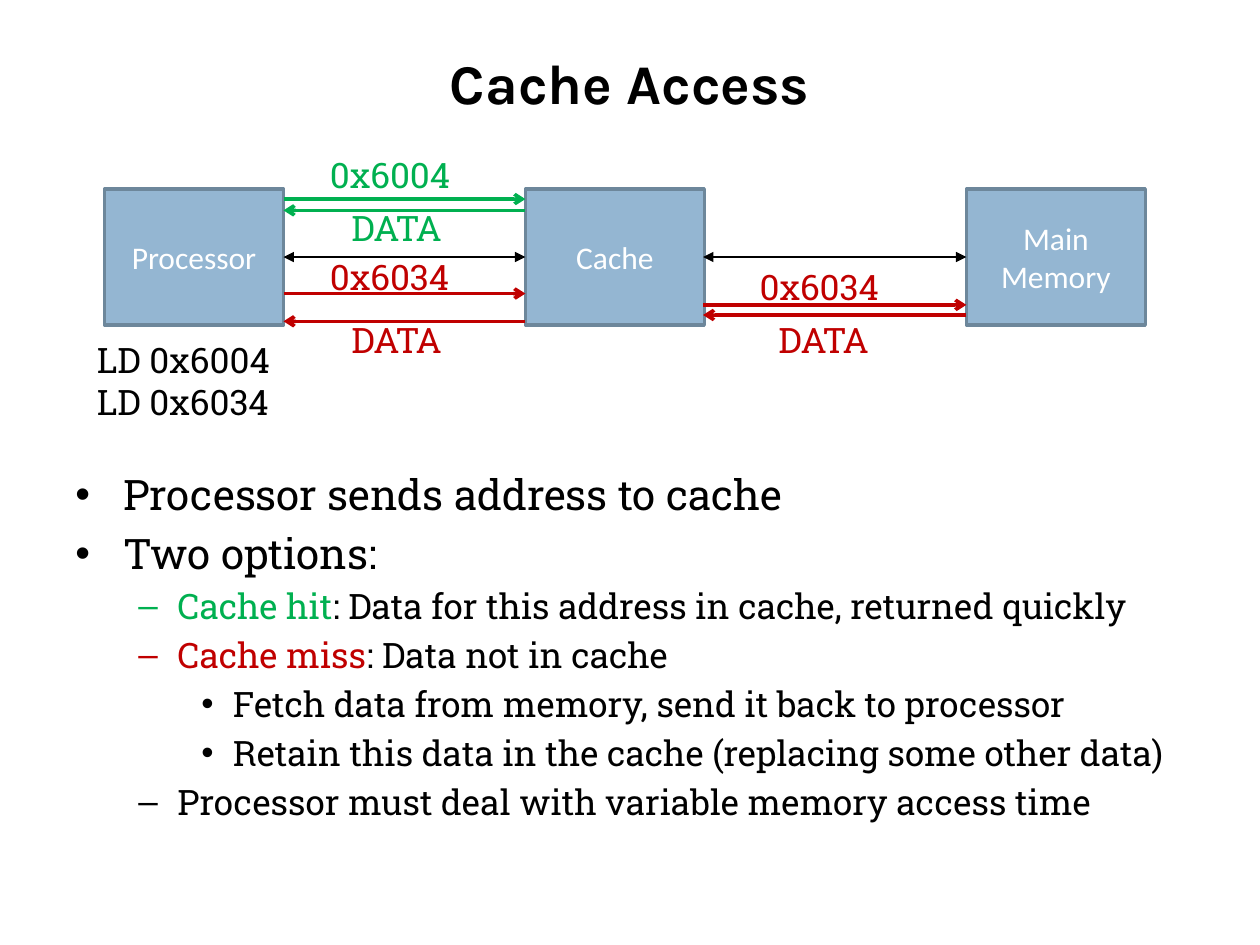
"""Build the Cache Access slide: a memory diagram above a bulleted outline."""
import lxml.etree
import pptx
import pptx.dml.color
import pptx.enum.shapes
import pptx.enum.text
import pptx.oxml.ns
import pptx.util

Inches = pptx.util.Inches
Pt = pptx.util.Pt
Color = pptx.dml.color.RGBColor.from_string
Align = pptx.enum.text.PP_ALIGN
Anchor = pptx.enum.text.MSO_ANCHOR
qn = pptx.oxml.ns.qn


class Theme:
    black, white = "000000", "FFFFFF"
    hit, miss = "00B050", "C00000"
    fill, edge = "94B6D2", "6D879B"
    head, body, block = "Karla", "Roboto Slab", "Calibri"
    title, main, label, small = 32, 24, 20, 18


def style(run, size, color, face=Theme.body, bold=False):
    run.font.size = Pt(size)
    run.font.name = face
    run.font.bold = bold
    run.font.color.rgb = Color(color)


def add_text(left, top, width, height, text, size, color, face=Theme.body, bold=False, wrap=False):
    box = slide.shapes.add_textbox(Inches(left), Inches(top), Inches(width), Inches(height))
    frame = box.text_frame
    frame.word_wrap = wrap
    frame.text = text
    for para in frame.paragraphs:
        for run in para.runs:
            style(run, size, color, face, bold)
    return frame


deck = pptx.Presentation()
deck.slide_width, deck.slide_height = Inches(10), Inches(7.5)
slide = deck.slides.add_slide(deck.slide_layouts[6])

title = add_text(0.5, 0.3, 9, 0.7, "Cache Access", Theme.title, Theme.black, Theme.head, True, True)
title.vertical_anchor = Anchor.MIDDLE
title.paragraphs[0].alignment = Align.CENTER

outline = [
    (0, "", "Processor sends address to cache", Theme.black),
    (0, "", "Two options:", Theme.black),
    (1, "Cache hit", ": Data for this address in cache, returned quickly", Theme.hit),
    (1, "Cache miss", ": Data not in cache", Theme.miss),
    (2, "", "Fetch data from memory, send it back to processor", Theme.black),
    (2, "", "Retain this data in the cache (replacing some other data)", Theme.black),
    (1, "", "Processor must deal with variable memory access time", Theme.black),
]
levels = [(0.38, 0.38, "•", Theme.main), (0.81, 0.31, "–", Theme.label), (1.25, 0.25, "•", Theme.label)]
frame = add_text(0.5, 3.67, 9.42, 3.5, "", Theme.main, Theme.black, wrap=True)
for row, (level, term, rest, color) in enumerate(outline):
    left, hang, mark, size = levels[level]
    para = frame.add_paragraph() if row else frame.paragraphs[0]
    para.level = level
    para.space_before = Pt(size * 0.2 if row else 0)
    props = para._p.get_or_add_pPr()
    props.set("marL", str(Inches(left)))
    props.set("indent", str(-Inches(hang)))
    lxml.etree.SubElement(props, qn("a:buFont")).set("typeface", "Arial")
    lxml.etree.SubElement(props, qn("a:buChar")).set("char", mark)
    for text, tint in ((term, color), (rest, Theme.black)):
        if text:
            run = para.add_run()
            run.text = text
            style(run, size, tint)

for left, name in ((0.83, "Processor"), (4.17, "Cache"), (7.67, "Main\vMemory")):
    block = slide.shapes.add_shape(
        pptx.enum.shapes.MSO_SHAPE.RECTANGLE, Inches(left), Inches(1.5), Inches(1.42), Inches(1.08))
    block.shadow.inherit = False
    block.fill.solid()
    block.fill.fore_color.rgb = Color(Theme.fill)
    block.line.color.rgb = Color(Theme.edge)
    block.line.width = Pt(2)
    frame = block.text_frame
    frame.margin_left = frame.margin_right = 0
    frame.vertical_anchor = Anchor.MIDDLE
    frame.text = name
    frame.paragraphs[0].alignment = Align.CENTER
    for run in frame.paragraphs[0].runs:
        style(run, Theme.small, Theme.white, Theme.block)

near, far = (2.25, 4.17), (5.58, 7.67)
both, ahead = ("headEnd", "tailEnd"), ("tailEnd",)
arrows = [
    (near, 2.04, Theme.black, 1, both, "triangle"),
    (far, 2.04, Theme.black, 1, both, "triangle"),
    (near, 1.58, Theme.hit, 2, ahead, "arrow"),
    (near[::-1], 1.67, Theme.hit, 2, ahead, "arrow"),
    (near, 2.33, Theme.miss, 2, ahead, "arrow"),
    (near[::-1], 2.55, Theme.miss, 2, ahead, "arrow"),
    (far, 2.42, Theme.miss, 2, ahead, "arrow"),
    (far[::-1], 2.5, Theme.miss, 2, ahead, "arrow"),
]
for (start, end), y, color, width, tips, kind in arrows:
    arrow = slide.shapes.add_connector(
        pptx.enum.shapes.MSO_CONNECTOR.STRAIGHT, Inches(start), Inches(y), Inches(end), Inches(y))
    arrow.line.color.rgb = Color(color)
    arrow.line.width = Pt(width)
    for tip in tips:
        lxml.etree.SubElement(arrow.line._ln, qn("a:" + tip)).set("type", kind)
    lxml.etree.SubElement(arrow._element.spPr, qn("a:effectLst"))

labels = [
    (2.52, 1.17, 1.32, 0.44, "0x6004", Theme.hit),
    (2.69, 1.59, 0.98, 0.44, "DATA", Theme.hit),
    (2.52, 1.98, 1.32, 0.44, "0x6034", Theme.miss),
    (2.69, 2.48, 0.98, 0.44, "DATA", Theme.miss),
    (5.93, 2.06, 1.32, 0.44, "0x6034", Theme.miss),
    (6.08, 2.48, 0.98, 0.44, "DATA", Theme.miss),
    (0.67, 2.64, 1.71, 0.77, "LD 0x6004\nLD 0x6034", Theme.black),
]
for left, top, width, height, text, color in labels:
    frame = add_text(left, top, width, height, text, Theme.label, color)
    frame.auto_size = pptx.enum.text.MSO_AUTO_SIZE.SHAPE_TO_FIT_TEXT

deck.save("out.pptx")
